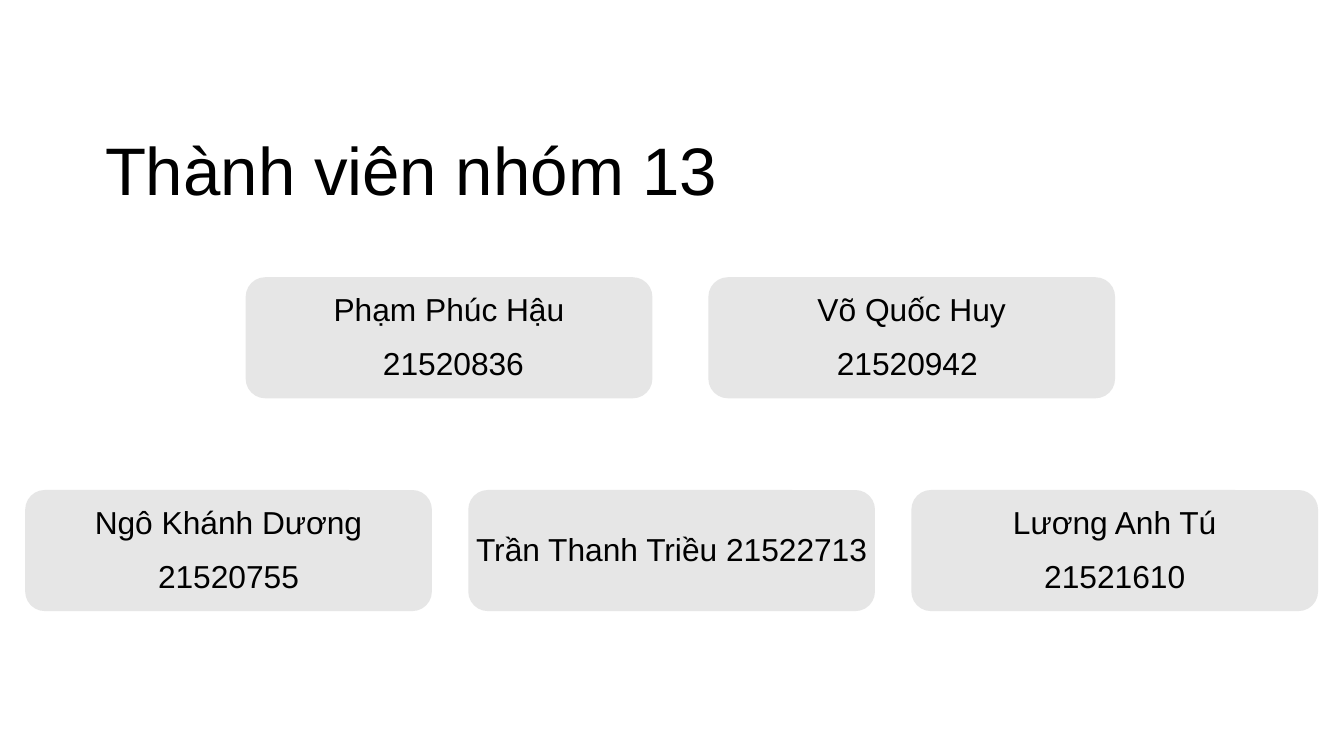
"""Build the slide that lists the members of group 13."""
from dataclasses import dataclass

import pptx
import pptx.dml.color
import pptx.enum.shapes
import pptx.enum.text
import pptx.util

PX = 9525
COLORS = {"background": "FFFFFF", "card": "E6E6E6", "text": "000000"}
CARD_W, CARD_H, CARD_RADIUS = 581, 173, 28
TEXT_RISE = 27
CENTER = pptx.enum.text.PP_ALIGN.CENTER
LEFT = pptx.enum.text.PP_ALIGN.LEFT
MIDDLE = pptx.enum.text.MSO_ANCHOR.MIDDLE
TOP = pptx.enum.text.MSO_ANCHOR.TOP


@dataclass(frozen=True)
class CardRow:
    left: int
    top: int
    step: int
    members: tuple[tuple[str, ...], ...]


ROWS = (
    CardRow(351, 396, 661, (
        ("Phạm Phúc Hậu", " 21520836"),
        ("Võ Quốc Huy", "21520942 "),
    )),
    CardRow(36, 700, 633, (
        ("Ngô Khánh Dương 21520755",),
        ("Trần Thanh Triều 21522713",),
        ("Lương Anh Tú", "21521610"),
    )),
)


def px(*values: int) -> list[pptx.util.Emu]:
    """Turn pixels into EMU lengths."""
    return [pptx.util.Emu(value * PX) for value in values]


def rgb(name: str) -> pptx.dml.color.RGBColor:
    """Look up a named colour."""
    return pptx.dml.color.RGBColor.from_string(COLORS[name])


def set_attrs(obj: object, values: dict[str, object]) -> None:
    """Set each named attribute on an object."""
    for name, value in values.items():
        setattr(obj, name, value)


def add_text(s: pptx.slide.Slide, box: tuple[int, int, int, int],
             lines: tuple[str, ...], size: int, inset: int,
             align: pptx.enum.text.PP_ALIGN,
             anchor: pptx.enum.text.MSO_ANCHOR) -> None:
    """Add a wrapped text box with one paragraph per line."""
    tf = s.shapes.add_textbox(*px(*box)).text_frame
    margin = px(inset)[0]
    set_attrs(tf, {
        "word_wrap": True, "vertical_anchor": anchor,
        "margin_left": margin, "margin_right": margin,
        "margin_top": margin, "margin_bottom": margin,
    })
    for i, line in enumerate(lines):
        p = tf.add_paragraph() if i else tf.paragraphs[0]
        set_attrs(p, {"alignment": align, "line_spacing": 1.4})
        r = p.add_run()
        r.text = line
        set_attrs(r.font, {"name": "Arial", "size": pptx.util.Pt(size)})
        r.font.color.rgb = rgb("text")


def add_card(s: pptx.slide.Slide, left: int, top: int,
             lines: tuple[str, ...]) -> None:
    """Add a rounded card with a member's name and number."""
    sp = s.shapes.add_shape(
        pptx.enum.shapes.MSO_SHAPE.ROUNDED_RECTANGLE,
        *px(left, top, CARD_W, CARD_H))
    sp.adjustments[0] = CARD_RADIUS / CARD_H
    sp.shadow.inherit = False
    sp.fill.solid()
    sp.fill.fore_color.rgb = rgb("card")
    sp.line.fill.background()
    box = (left, top - TEXT_RISE, CARD_W, CARD_H + TEXT_RISE)
    add_text(s, box, lines, 34, 6, CENTER, MIDDLE)


def main() -> None:
    """Build and save the presentation."""
    prs = pptx.Presentation()
    prs.slide_width, prs.slide_height = px(1920, 1080)
    s = prs.slides.add_slide(prs.slide_layouts[6])
    s.background.fill.solid()
    s.background.fill.fore_color.rgb = rgb("background")
    add_text(s, (150, 137, 1620, 128), ("Thành viên nhóm 13",), 72, 0, LEFT, TOP)
    for row in ROWS:
        for i, lines in enumerate(row.members):
            add_card(s, row.left + i * row.step, row.top, lines)
    prs.save("out.pptx")


if __name__ == "__main__":
    main()
